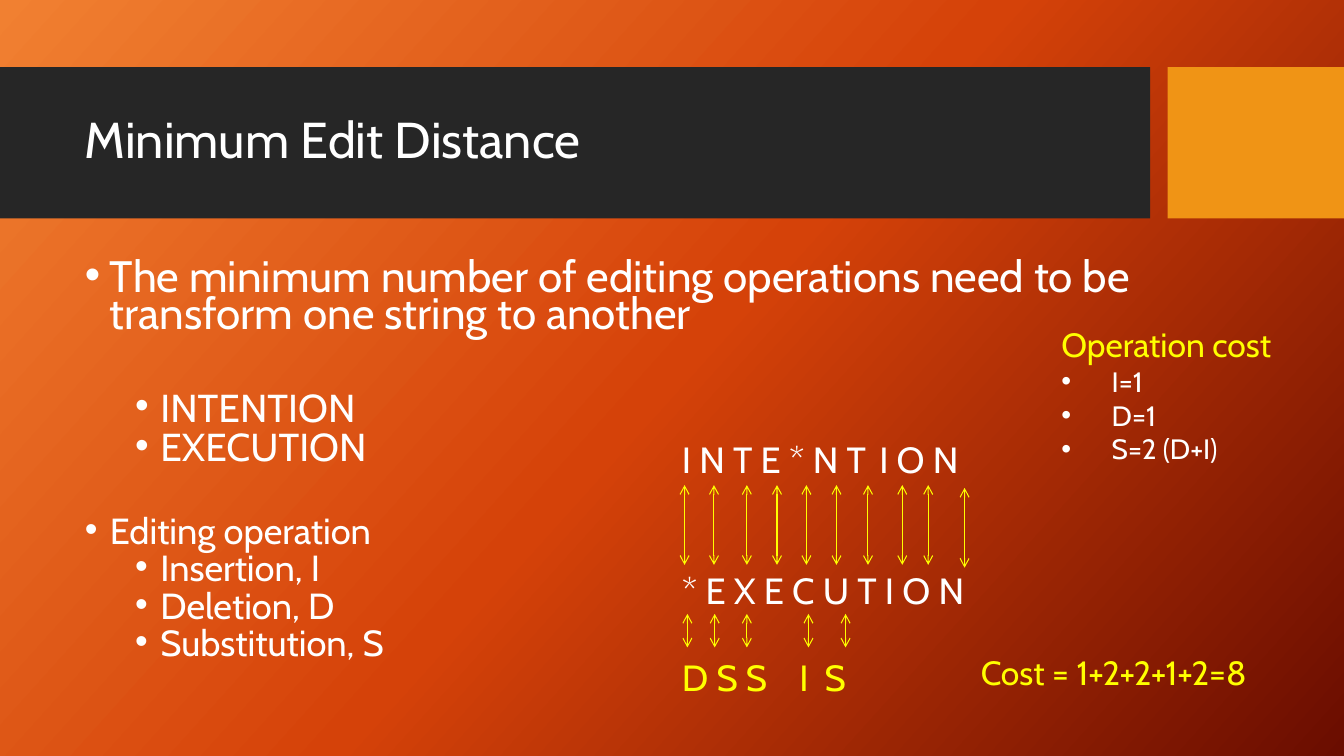
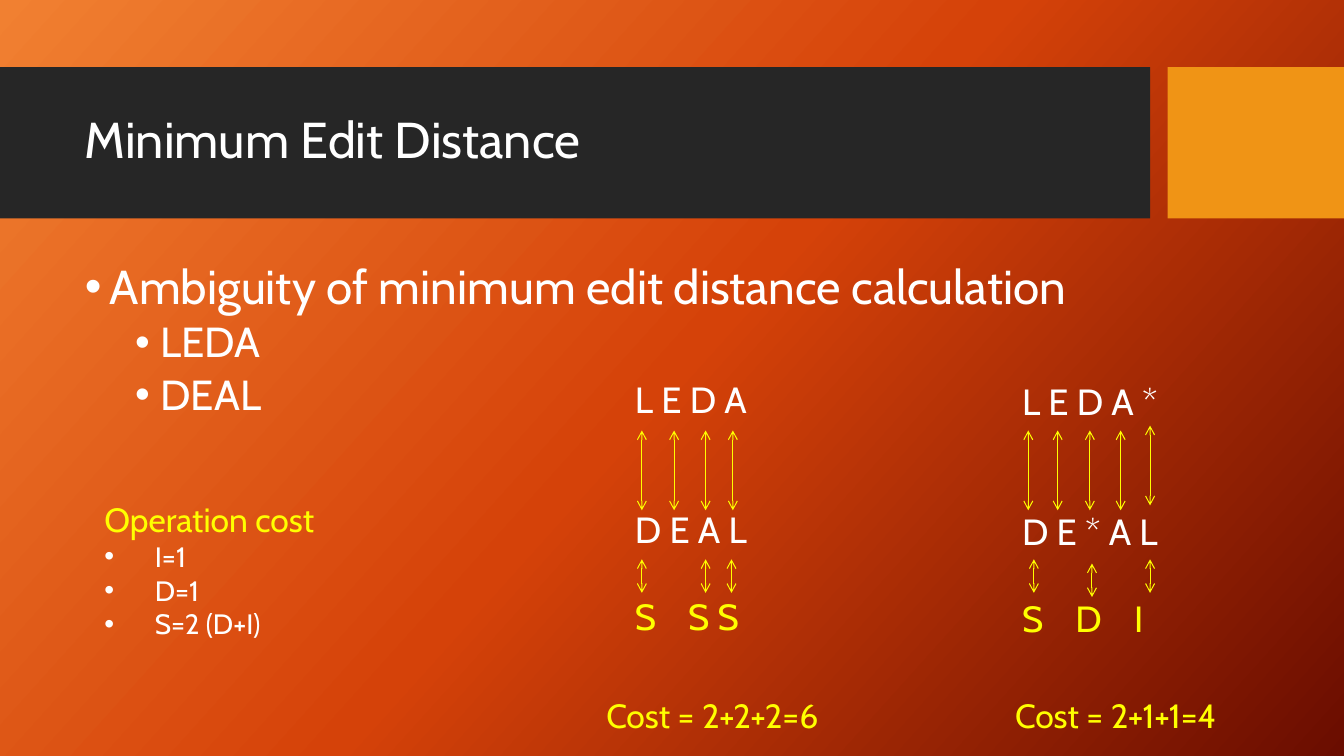
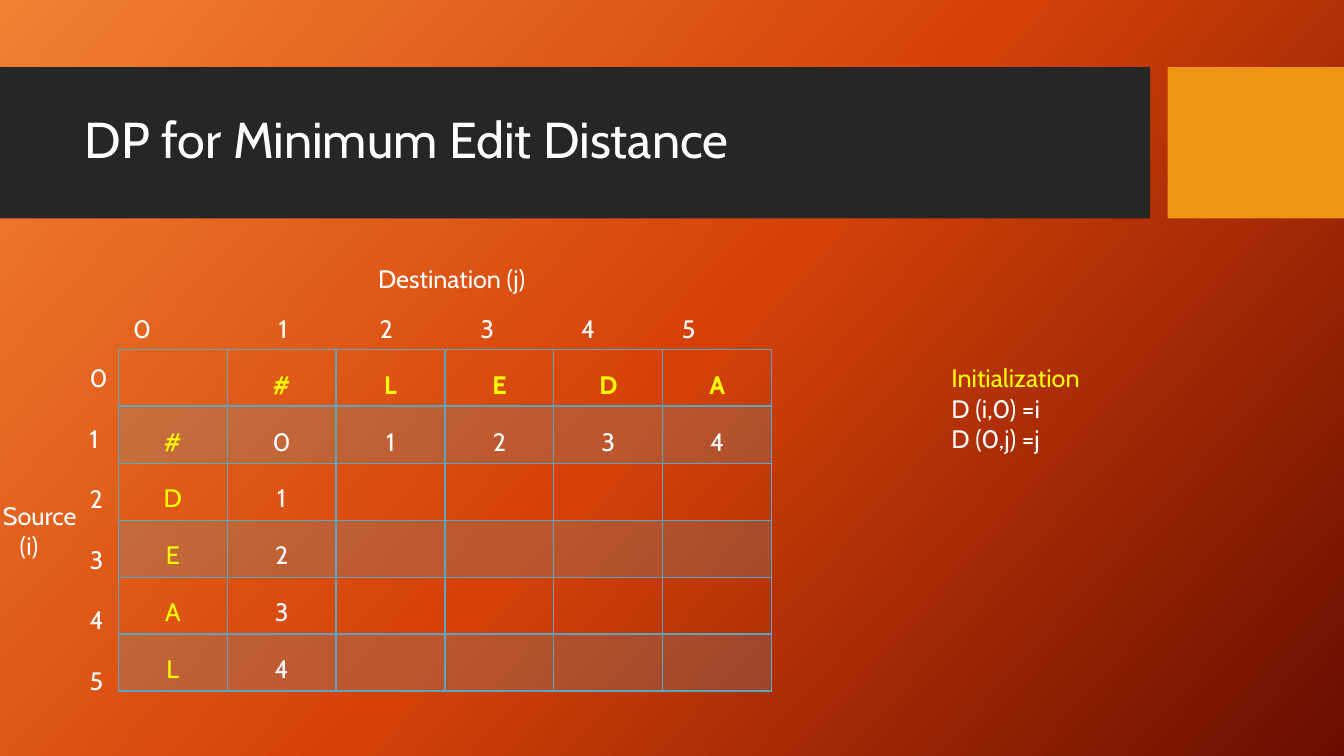
from copy import deepcopy

from lxml import etree
from pptx import Presentation
from pptx.dml.color import RGBColor
from pptx.enum import shapes, text
from pptx.oxml.ns import qn
from pptx.util import Pt

FONT = "Cabin"
WHITE = RGBColor(0xFF, 0xFF, 0xFF)
YELLOW = RGBColor(0xFF, 0xFF, 0x00)
CHARCOAL = RGBColor(0x26, 0x26, 0x26)
AMBER = RGBColor(0xF0, 0x94, 0x15)
TEAL = RGBColor(0x5A, 0xA6, 0xC0)
BACKDROP = [
    (0, RGBColor(0xF1, 0x80, 0x31)),
    (0.5, RGBColor(0xD5, 0x42, 0x09)),
    (1, RGBColor(0x6A, 0x0D, 0x00)),
]
BANDS = [(0, 821.5, CHARCOAL), (834, 126, AMBER)]


def add_text(page, left, top, width, height, lines, anchor=text.MSO_ANCHOR.TOP):
    """Add a text box; each line is a dict with text, size and optional layout."""
    box = page.shapes.add_textbox(Pt(left), Pt(top), Pt(width), Pt(height))
    frame = box.text_frame
    frame.word_wrap = True
    frame.vertical_anchor = anchor
    for index, line in enumerate(lines):
        para = frame.add_paragraph() if index else frame.paragraphs[0]
        para.text = line["text"]
        para.line_spacing = line.get("spacing", 1.0)
        para.space_before = Pt(line.get("before", 0))
        props = para._p.get_or_add_pPr()
        props.set("marL", str(Pt(line.get("indent", 0))))
        if "hanging" in line:
            props.set("indent", str(-Pt(line["hanging"])))
            etree.SubElement(props, qn("a:buFont"), typeface="Arial")
            etree.SubElement(props, qn("a:buChar"), char="•")
        if "tabs" in line:
            stops = etree.SubElement(props, qn("a:tabLst"))
            for stop in line["tabs"]:
                etree.SubElement(stops, qn("a:tab"), pos=str(Pt(stop)), algn="l")
        for span in para.runs:
            span.font.name = FONT
            span.font.size = Pt(line["size"])
            span.font.color.rgb = line.get("color", WHITE)


def add_arrows(page, top, length, centers):
    """Draw a row of vertical double-headed arrows."""
    for x in centers:
        arrow = page.shapes.add_connector(
            shapes.MSO_CONNECTOR.STRAIGHT, Pt(x), Pt(top), Pt(x), Pt(top + length))
        arrow.line.color.rgb = YELLOW
        arrow.line.width = Pt(0.75)
        props = arrow._element.spPr
        for end in ("a:headEnd", "a:tailEnd"):
            etree.SubElement(props.find(qn("a:ln")), qn(end), type="arrow")
        etree.SubElement(props, qn("a:effectLst"))


deck = Presentation()
deck.slide_width, deck.slide_height = Pt(960), Pt(540)

# Shared look: gradient backdrop, bands and title
master = deck.slide_master
backdrop = master.background.fill
backdrop.gradient()
backdrop.gradient_angle = 318
stop_list = master.element.find(".//" + qn("a:gsLst"))
stop_list.append(deepcopy(stop_list[0]))
for stop, (position, color) in zip(backdrop.gradient_stops, BACKDROP):
    stop.position = position
    stop.color.rgb = color

pages = []
for title in ("Minimum Edit Distance", "Minimum Edit Distance", "DP for Minimum Edit Distance"):
    page = deck.slides.add_slide(deck.slide_layouts[6])
    for left, width, color in BANDS:
        band = page.shapes.add_shape(
            shapes.MSO_SHAPE.RECTANGLE, Pt(left), Pt(48), Pt(width), Pt(108))
        band.shadow.inherit = False
        band.fill.solid()
        band.fill.fore_color.rgb = color
        band.line.fill.background()
    add_text(page, 53.5, 59, 757, 85, [dict(text=title, size=36, spacing=0.9)],
             text.MSO_ANCHOR.MIDDLE)
    pages.append(page)
example_page, ambiguity_page, table_page = pages

# Bulleted bodies: line spacing, then text, size, level, space before
bodies = [
    (example_page, 0.7, [
        ("The minimum number of editing operations need to be transform one string to another",
         31.4, 0, 10),
        ("INTENTION", 27.8, 1, 42),
        ("EXECUTION", 27.8, 1, 5),
        ("Editing operation", 25.9, 0, 37),
        ("Insertion, I", 25.9, 1, 5),
        ("Deletion, D", 25.9, 1, 5),
        ("Substitution, S", 25.9, 1, 5),
    ]),
    (ambiguity_page, 0.9, [
        ("Ambiguity of minimum edit distance calculation", 34, 0, 10),
        ("LEDA", 30, 1, 5),
        ("DEAL", 30, 1, 5),
    ]),
]
for page, spacing, items in bodies:
    add_text(page, 53.5, 184.5, 889, 297, [
        dict(text=wording, size=size, spacing=spacing, before=before,
             indent=18 + 36 * level, hanging=18)
        for wording, size, level, before in items])

# Operation costs
for page, left, top in ((example_page, 751, 228), (ambiguity_page, 67.5, 353)):
    costs = [dict(text="Operation cost", size=24, color=YELLOW)]
    for cost in ("I=1", "D=1", "S=2 (D+I)"):
        costs.append(dict(text=cost, size=20, indent=36, hanging=36))
    add_text(page, left, top, 182, 109, costs)

# Alignments: source, target and operations, each with its tab stops
alignments = [
    (example_page, 480, 309, [("I N T E * N T\tI O N", [141]), ("* E X E C U T I O N", []),
                              ("D S S\tI\tS", [84, 102])]),
    (ambiguity_page, 446.5, 265.5, [("L E D A", []), ("D E A L", []), ("S\tS S", [38])]),
    (ambiguity_page, 723, 267, [("L E D A *", []), ("D E * A L", []), ("S\tD\tI", [38, 80])]),
]
for page, left, top, rows in alignments:
    add_text(page, left, top, 232.5, 227.5, [
        dict(text=letters, size=26, tabs=tabs, before=before, color=color)
        for (letters, tabs), before, color in zip(rows, (0, 62, 31), (WHITE, WHITE, YELLOW))])

# Arrows between the letters, long ones above short ones
LONG, SHORT = 57, 24
arrow_rows = [
    (example_page, 346.5, LONG, [489, 510, 533.5, 555, 576, 597.5, 620, 644.5, 663]),
    (example_page, 348.5, LONG, [689]),
    (example_page, 438.5, SHORT, [491, 510.5, 533.5, 577.5, 604]),
    (ambiguity_page, 307.5, LONG, [458.5, 481.5, 504, 523.5, 734.5, 755.5, 778.5, 800.5]),
    (ambiguity_page, 304, LONG, [821.5]),
    (ambiguity_page, 399.5, SHORT, [458.5, 504, 522.5, 738.5, 821.5]),
    (ambiguity_page, 402.5, SHORT, [780]),
]
for page, top, length, centers in arrow_rows:
    add_arrows(page, top, length, centers)

totals = [
    (example_page, 693.5, 462, "Cost = 1+2+2+1+2=8"),
    (ambiguity_page, 426, 493, "Cost = 2+2+2=6"),
    (ambiguity_page, 718, 493, "Cost = 2+1+1=4"),
]
for page, left, top, total in totals:
    add_text(page, left, top, 232.5, 36, [dict(text=total, size=24, color=YELLOW)])

# Distance table
grid = [["", "#", "L", "E", "D", "A"], ["#", "0", "1", "2", "3", "4"]]
grid += [[letter, str(number), "", "", "", ""] for number, letter in enumerate("DEAL", 1)]
table = table_page.shapes.add_table(
    6, 6, Pt(84.5), Pt(249.5), Pt(466.8), Pt(244.2)).table
table.horz_banding = False
for column in table.columns:
    column.width = Pt(77.8)
for row in table.rows:
    row.height = Pt(40.7)
for r, values in enumerate(grid):
    for c, value in enumerate(values):
        cell = table.cell(r, c)
        props = cell._tc.get_or_add_tcPr()
        for side in "LRTB":
            under_header = (r, side) in ((0, "B"), (1, "T"))
            border = etree.SubElement(
                props, qn("a:ln" + side), w=str(Pt(2 if under_header else 1)))
            paint = etree.SubElement(border, qn("a:solidFill"))
            etree.SubElement(paint, qn("a:srgbClr"), val=str(TEAL))
        if r % 2:
            cell.fill.solid()
            cell.fill.fore_color.rgb = TEAL
            tint = props.find(qn("a:solidFill"))[0]
            etree.SubElement(tint, qn("a:alpha"), val="20000")
        else:
            cell.fill.background()
        if value:
            para = cell.text_frame.paragraphs[0]
            para.text = value
            para.alignment = text.PP_ALIGN.CENTER
            para.line_spacing = 1.5
            font = para.runs[0].font
            font.name, font.size, font.bold = FONT, Pt(18), r == 0
            font.color.rgb = YELLOW if r == 0 or c == 0 else WHITE

# Table labels and starting values
add_text(table_page, 672.5, 255.5, 281.5, 94, [
    dict(text="Initialization", size=18, color=YELLOW),
    dict(text="D (i,0) =i", size=18),
    dict(text="D (0,j) =j", size=18)])
add_text(table_page, -5, 354, 74, 73, [
    dict(text="Source", size=18), dict(text="(i)", size=18, indent=12)])
add_text(table_page, 263, 184.5, 155.5, 51, [dict(text="Destination (j)", size=18)])
add_text(table_page, 88, 220.5, 466.5, 29, [
    dict(text="\t".join("012345"), size=18, tabs=[104 + 72 * k for k in range(5)])])
add_text(table_page, 57, 255.5, 28, 269, [
    dict(text=number, size=18, before=21.6 if k else 0) for k, number in enumerate("012345")])

deck.save("out.pptx")
